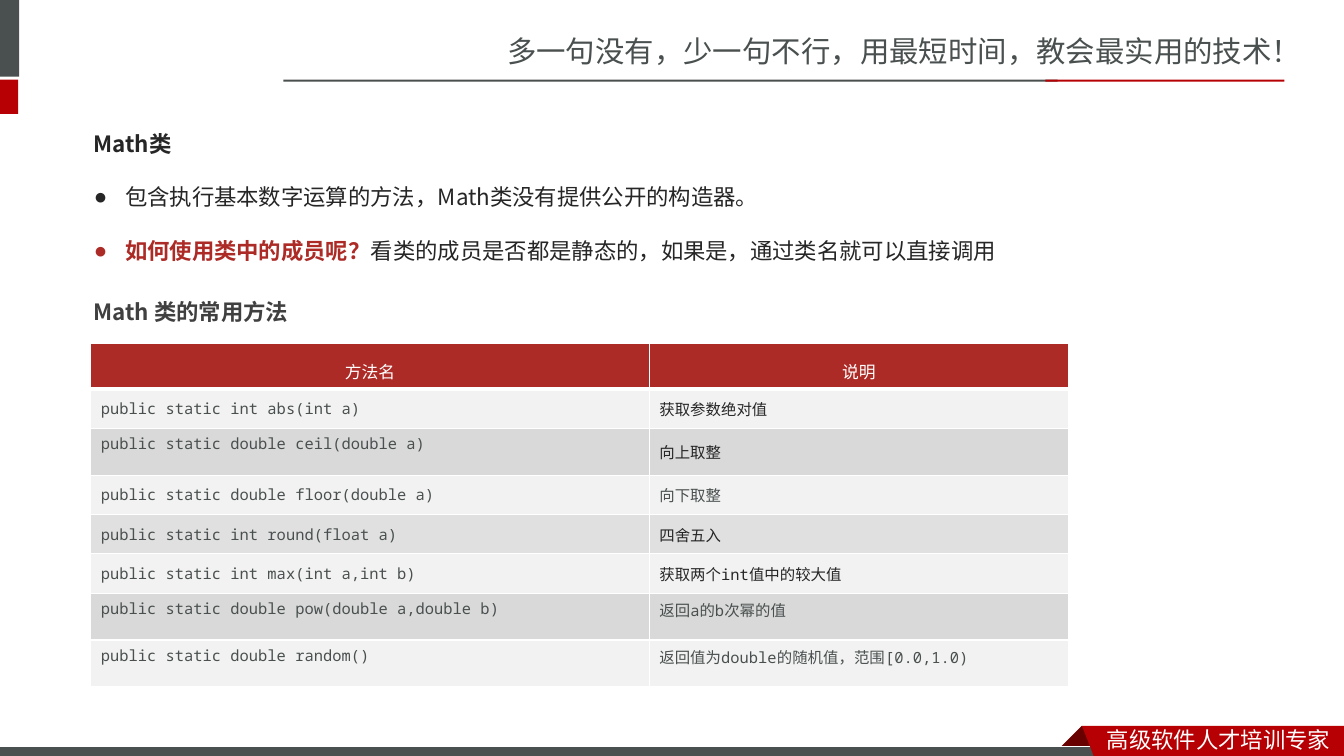
from lxml.etree import SubElement
from pptx import Presentation
from pptx.dml.color import RGBColor
from pptx.enum.shapes import MSO_SHAPE
from pptx.enum.text import MSO_ANCHOR, MSO_AUTO_SIZE, PP_ALIGN
from pptx.oxml.ns import qn
from pptx.util import Inches, Pt

WIDE, HIGH = Inches(13.33), Inches(7.5)
HUES = {"gray": "49504F", "red": "B60004", "dark": "680000", "brick": "AD2B26",
        "ink": "262626", "soft": "404040", "white": "FFFFFF",
        "light": "F2F2F2", "band": "D9D9D9"}
SANS, HEAD, MONO = "Noto Sans CJK SC", "Noto Sans CJK JP", "Noto Sans Mono"
TOP, MID = MSO_ANCHOR.TOP, MSO_ANCHOR.MIDDLE
COLS = (41.56, 31.21)
ROWS = (
    (5.2, "light", ("public static int abs(int a)", "gray", MID),
     ("获取参数绝对值", "ink", MID)),
    (6.2, "band", ("public static double ceil(double a)", "gray", TOP),
     ("向上取整", "ink", MID)),
    (5.2, "light", ("public static double floor(double a)", "gray", MID),
     ("向下取整", "gray", MID)),
    (5.2, "band", ("public static int round(float a)", "gray", MID),
     ("四舍五入", "ink", MID)),
    (5.2, "light", ("public static int max(int a,int b)", "gray", MID),
     ("获取两个int值中的较大值", "ink", MID)),
    (6.2, "band", ("public static double pow(double a,double b)", "gray", TOP),
     ("返回a的b次幂的值", "gray", TOP)),
    (6.2, "light", ("public static double random()", "gray", TOP),
     ("返回值为double的随机值，范围[0.0,1.0)", "gray", TOP)),
)
SHEER = 4


def across(share):
    """Turn a percentage of the slide width into a length."""
    return round(WIDE * share / 100)


def down(share):
    """Turn a percentage of the slide height into a length."""
    return round(HIGH * share / 100)


def frame(left, top, width, height):
    """Turn four percentages into a place and a size."""
    return across(left), down(top), across(width), down(height)


def hue(name):
    """Look up a colour."""
    return RGBColor.from_string(HUES[name])


def style(font, size, tint, face, bold=False):
    """Set size, colour, weight and both typefaces of a font."""
    font.size, font.bold, font.name = Pt(size), bold, face
    font.color.rgb = hue(tint)
    east = SubElement(font._element if hasattr(font, "_element") else font._rPr, qn("a:ea"))
    east.set("typeface", SANS if face == MONO else face)


def paint(shape, tint, edge=None):
    """Fill a shape, with a thin outline if one is named."""
    shape.shadow.inherit = False
    shape.fill.solid()
    shape.fill.fore_color.rgb = hue(tint)
    if edge:
        shape.line.color.rgb = hue(edge)
        shape.line.width = Pt(0.75)
    else:
        shape.line.fill.background()


def bar(slide, place, tint, edge=None):
    """Draw a plain rectangle."""
    paint(slide.shapes.add_shape(MSO_SHAPE.RECTANGLE, *frame(*place)), tint, edge)


def fold(slide, dots, tint):
    """Draw a closed outline through the given points."""
    spots = [(across(x), down(y)) for x, y in dots]
    path = slide.shapes.build_freeform(*spots[0], scale=1.0)
    path.add_line_segments(spots[1:], close=True)
    paint(path.convert_to_shape(), tint)


def settle(box, place):
    """Place a text shape and make it wrap from its top edge."""
    box.left, box.top, box.width, box.height = frame(*place)
    text = box.text_frame
    text.word_wrap, text.auto_size = True, MSO_AUTO_SIZE.NONE
    text.vertical_anchor = TOP
    return text


def label(box, place, words, size, tint, face, bold=False, space=1.0):
    """Write a single line of text into a shape."""
    line = settle(box, place).paragraphs[0]
    line.text, line.alignment, line.line_spacing = words, PP_ALIGN.LEFT, space
    style(line.font, size, tint, face, bold)


def item(line, parts, mark=None):
    """Write one list line from (words, colour, bold) parts."""
    line.line_spacing, line.space_before = 2.0, Pt(0)
    props = line._p.get_or_add_pPr()
    gap = Inches(0.31) if mark else 0
    props.set("marL", str(gap))
    props.set("indent", str(-gap))
    if mark:
        SubElement(props, qn("a:buChar")).set("char", mark)
    else:
        SubElement(props, qn("a:buNone"))
    for words, tint, bold in parts:
        run = line.add_run()
        run.text = words
        if len(parts) > 1:
            style(run.font, 16, tint, HEAD, bold)
    if len(parts) == 1:
        style(line.font, 16, *parts[0][1:2], HEAD, parts[0][2])


def rule(cell, **widths):
    """Draw white cell borders, one point wide unless told otherwise."""
    props = cell._tc.get_or_add_tcPr()
    for side in "LRTB":
        edge = SubElement(props, qn(f"a:ln{side}"), w=str(Pt(widths.get(side, 1))))
        fill = SubElement(edge, qn("a:solidFill"))
        SubElement(fill, qn("a:srgbClr"), val=HUES["white"])


def write(cell, words, tint, anchor, back, size):
    """Fill one table cell with a line of text."""
    cell.fill.solid()
    cell.fill.fore_color.rgb = hue(back)
    cell.vertical_anchor = anchor
    line = cell.text_frame.paragraphs[0]
    line.text = words
    style(line.font, size, tint, MONO)
    return line


def grid(slide):
    """Build the table of methods."""
    place = frame(6.75, 45.47, sum(COLS), 6 + sum(row[0] for row in ROWS))
    table = slide.shapes.add_table(len(ROWS) + 1, len(COLS), *place).table
    for col, share in zip(table.columns, COLS):
        col.width = across(share)
    table.rows[0].height = down(6)
    for col, words in enumerate(("方法名", "说明")):
        cell = table.cell(0, col)
        rule(cell, B=3)
        line = write(cell, words, "white", MID, "brick", 12)
        line.alignment, line.line_spacing = PP_ALIGN.CENTER, Pt(24)
    for row, (share, back, *cells) in enumerate(ROWS, 1):
        table.rows[row].height = down(share)
        for col, (words, tint, anchor) in enumerate(cells):
            cell = table.cell(row, col)
            rule(cell, T=3 if row == 1 else 1)
            write(cell, words, tint, anchor, back, 11)
            if row == SHEER:
                shade = cell._tc.tcPr.find(qn("a:solidFill"))[0]
                SubElement(shade, qn("a:alpha"), val="80000")


def trim(slide):
    """Draw the corner bars, the title rule and the footer ribbon."""
    bar(slide, (-0.45, 0, 1.88, 10.13), "gray")
    bar(slide, (-0.45, 10.53, 1.8, 4.53), "red")
    bar(slide, (21.08, 10.53, 57.61, 0.27), "gray")
    bar(slide, (77.79, 10.53, 17.78, 0.27), "red")
    fold(slide, ((80.5, 96), (82.15, 98.93), (82.07, 99.07),
                 (78.92, 99.07), (78.84, 98.93)), "dark")
    bar(slide, (-0.08, 98.8, 82.52, 1.6), "gray", "white")
    fold(slide, ((80.5, 96), (100, 96), (100, 100.53), (81.47, 100.4)), "red")


def note(slide, place, *looks):
    """Add a text box with a single line."""
    label(slide.shapes.add_textbox(*frame(*place)), place, *looks)


def main():
    """Build the slide and save it."""
    deck = Presentation()
    deck.slide_width, deck.slide_height = WIDE, HIGH
    slide = deck.slides.add_slide(deck.slide_layouts[1])
    label(slide.shapes.title, (36.98, 3.73, 63.02, 6.27),
          "多一句没有，少一句不行，用最短时间，教会最实用的技术！", 21, "gray", SANS)
    trim(slide)
    note(slide, (81.62, 95.33, 18.38, 4.93), "高级软件人才培训专家", 16, "white", SANS)
    note(slide, (6.23, 37.07, 38.41, 6.27), "Math 类的常用方法", 16, "soft", HEAD, True, 1.5)
    body = settle(slide.placeholders[1], (6.23, 12.93, 79.97, 22))
    item(body.paragraphs[0], [("Math类", "ink", True)])
    item(body.add_paragraph(),
         [("包含执行基本数字运算的方法，Math类没有提供公开的构造器。", "ink", False)], "●")
    item(body.add_paragraph(),
         [("如何使用类中的成员呢？", "brick", True),
          ("看类的成员是否都是静态的，如果是，通过类名就可以直接调用", "ink", False)], "●")
    grid(slide)
    deck.save("out.pptx")


if __name__ == "__main__":
    main()
